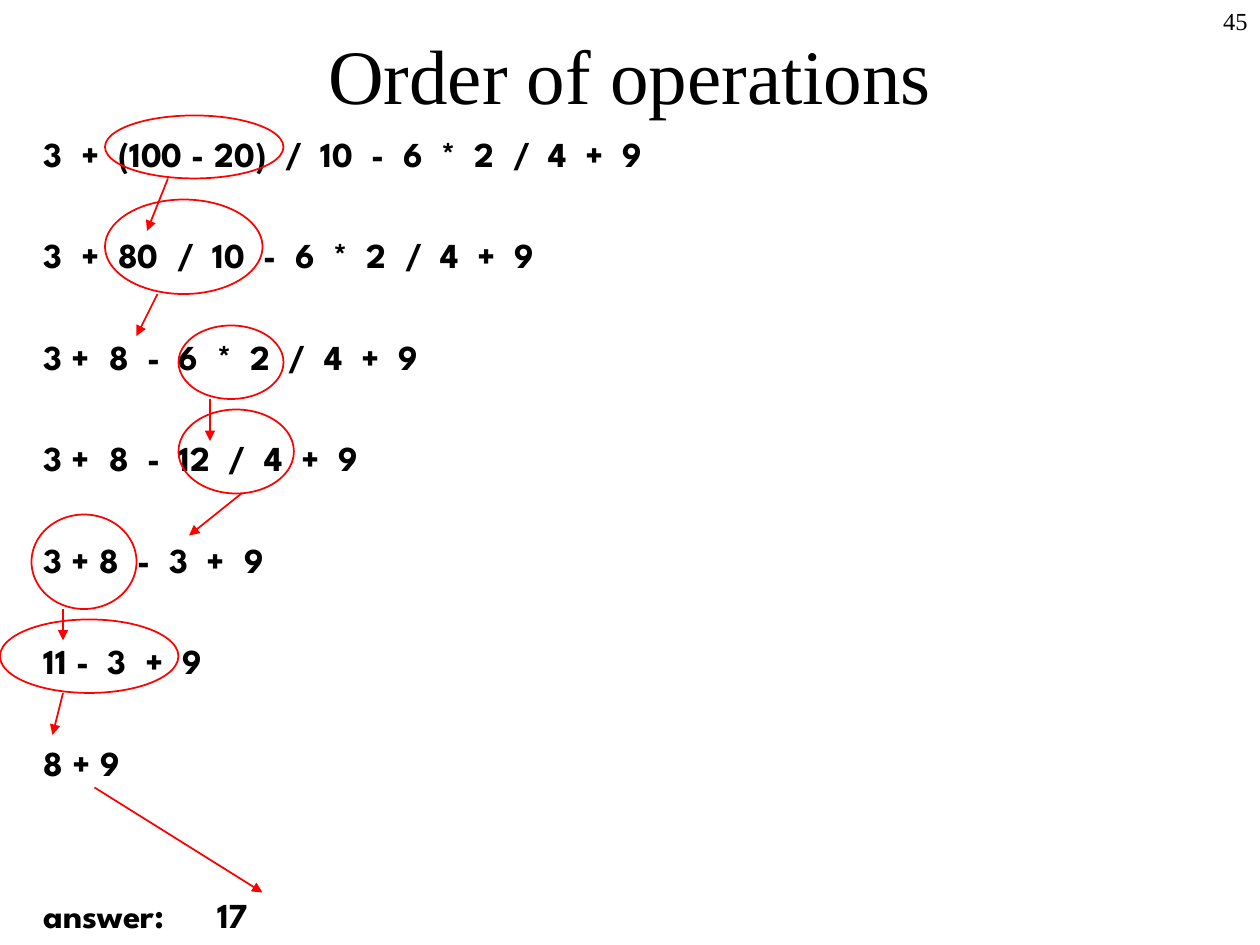
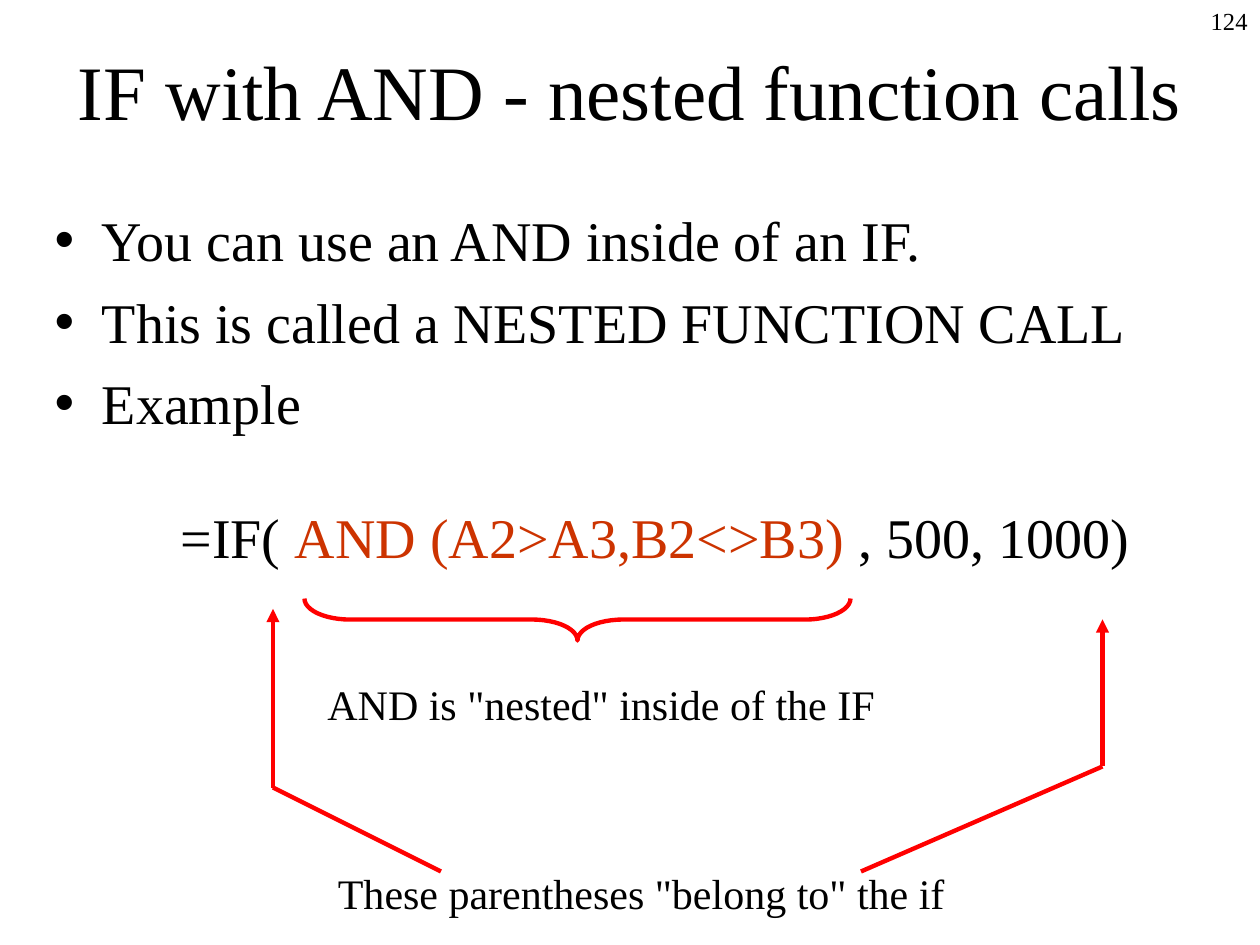
from collections import namedtuple

from lxml.etree import SubElement
from pptx import Presentation
from pptx.dml.color import RGBColor
from pptx.enum.shapes import MSO_CONNECTOR, MSO_SHAPE
from pptx.enum.text import MSO_ANCHOR, MSO_AUTO_SIZE, PP_ALIGN
from pptx.oxml.ns import qn
from pptx.util import Pt

BLACK = RGBColor(0x00, 0x00, 0x00)
RED = RGBColor(0xFF, 0x00, 0x00)
RUST = RGBColor(0xCC, 0x33, 0x00)
SERIF = "Times New Roman"
SPARTAN = "League Spartan"
HANGING = 27

Box = namedtuple("Box", "left top width height")

SLIDE = Box(0, 0, 720, 540)
NUMBER = Box(612, 0, 108, 30)

STEPS = [
    "3  +  (100 - 20)  /  10  -  6  *  2  /  4  +  9",
    "3  +  80  /  10  -  6  *  2  /  4  +  9",
    "3 +  8  -  6  *  2  /  4  +  9",
    "3 +  8  -  12  /  4  +  9",
    "3 + 8  -  3  +  9",
    "11 -  3  +  9",
    "8 + 9",
]
STEP_GAP = 34
ANSWER_GAP = 63
STEP_CIRCLES = [
    Box(42, -6, 102, 36),
    Box(42, 42, 90, 54),
    Box(84, 114, 60, 42),
    Box(84, 162, 66, 48),
    Box(0, 222, 60, 54),
    Box(-18, 282, 102, 42),
]
STEP_ARROWS = [
    ((78, 30), (66, 60)),
    ((72, 96), (60, 120)),
    ((102, 156), (102, 180)),
    ((120, 210), (90, 234)),
    ((18, 276), (18, 294)),
    ((18, 324), (12, 348)),
    ((36, 378), (132, 438)),
]


def points(values):
    return [Pt(value) for value in values]


def within(box, left, top, width, height):
    return Box(box.left + left, box.top + top, width, height)


def place(shape, box):
    shape.left, shape.top, shape.width, shape.height = points(box)


def write(paragraph, text, size=32, font=SERIF, color=BLACK, bold=False,
          align=None, before=0):
    paragraph.space_before = Pt(before)
    if align is not None:
        paragraph.alignment = align
    run = paragraph.add_run()
    run.text = text
    run.font.size = Pt(size)
    run.font.name = font
    run.font.bold = bold
    run.font.color.rgb = color


def indent(paragraph, left, first=0, bullet=None):
    properties = paragraph._p.get_or_add_pPr()
    properties.set("marL", str(Pt(left)))
    properties.set("indent", str(Pt(first)))
    if bullet:
        SubElement(properties, qn("a:buChar")).set("char", bullet)
    else:
        SubElement(properties, qn("a:buNone"))


def paragraphs(frame, count):
    return [frame.paragraphs[0]] + [frame.add_paragraph() for _ in range(count - 1)]


def add_text_frame(slide, box):
    frame = slide.shapes.add_textbox(*points(box)).text_frame
    frame.word_wrap = True
    return frame


def add_label(slide, box, text, **format):
    write(add_text_frame(slide, box).paragraphs[0], text, **format)


def add_outline(slide, kind, box, width):
    shape = slide.shapes.add_shape(kind, *points(box))
    shape.shadow.inherit = False
    shape.fill.background()
    shape.line.color.rgb = RED
    shape.line.width = Pt(width)
    return shape


def add_line(slide, box, start, end, width, arrow=False):
    ends = [box.left + start[0], box.top + start[1], box.left + end[0], box.top + end[1]]
    line = slide.shapes.add_connector(MSO_CONNECTOR.STRAIGHT, *points(ends))
    line.line.color.rgb = RED
    line.line.width = Pt(width)
    if arrow:
        SubElement(line.line._get_or_add_ln(), qn("a:tailEnd")).set("type", "triangle")
    SubElement(line._element.spPr, qn("a:effectLst"))


def add_slide(presentation, layout_name, title, title_box, number):
    layout = presentation.slide_layouts.get_by_name(layout_name)
    slide = presentation.slides.add_slide(layout)
    add_label(slide, NUMBER, number, size=14, align=PP_ALIGN.RIGHT)
    place(slide.shapes.title, title_box)
    frame = slide.shapes.title.text_frame
    frame.auto_size = MSO_AUTO_SIZE.NONE
    frame.vertical_anchor = MSO_ANCHOR.MIDDLE
    write(frame.paragraphs[0], title, size=44, align=PP_ALIGN.CENTER)
    return slide


def add_calculation(slide, box):
    lines = STEPS + ["answer:\t17"]
    gaps = [0] + [STEP_GAP] * (len(STEPS) - 1) + [ANSWER_GAP]
    frame = add_text_frame(slide, box)
    for paragraph, text, gap in zip(paragraphs(frame, len(lines)), lines, gaps):
        indent(paragraph, HANGING, -HANGING)
        write(paragraph, text, size=20, font=SPARTAN, bold=True, before=gap)
    for circle in STEP_CIRCLES:
        add_outline(slide, MSO_SHAPE.OVAL, within(box, *circle), 1)
    for start, end in STEP_ARROWS:
        add_line(slide, box, start, end, 1, arrow=True)


def add_nesting_list(slide, box):
    body = slide.placeholders[1]
    place(body, box)
    frame = body.text_frame
    frame.auto_size = MSO_AUTO_SIZE.NONE
    bullets = [
        "You can use an AND inside of an IF.",
        "This is called a NESTED FUNCTION CALL",
        "Example",
    ]
    *items, formula = paragraphs(frame, len(bullets) + 1)
    for index, (paragraph, text) in enumerate(zip(items, bullets)):
        indent(paragraph, HANGING, -HANGING, bullet="•")
        write(paragraph, text, before=8 if index else 0)
    indent(formula, 72)
    for text, color in [("=IF( ", BLACK), ("AND (A2>A3,B2<>B3) ", RUST), (", 500, 1000)", BLACK)]:
        write(formula, text, color=color, before=38.3)


def add_formula_notes(slide, box):
    span, depth = 312, 24
    brace_box = within(box, 18 + (span - depth) / 2, (depth - span) / 2, depth, span)
    brace = add_outline(slide, MSO_SHAPE.LEFT_BRACE, brace_box, 2.5)
    brace.rotation = 270
    brace.adjustments[0] = 1.08
    for tip, corner, foot in [((0, 6), (0, 108), (96, 156)),
                              ((474, 12), (474, 96), (336, 156))]:
        add_line(slide, box, corner, tip, 2.5, arrow=True)
        add_line(slide, box, corner, foot, 2.5)
    add_label(slide, within(box, 24, 42, 510, 36), 'AND is "nested" inside of the IF', size=24)
    add_label(slide, within(box, 30, 150, 390, 36), 'These parentheses "belong to" the if', size=24)


def main():
    presentation = Presentation()
    presentation.slide_width, presentation.slide_height = Pt(SLIDE.width), Pt(SLIDE.height)

    order = add_slide(presentation, "Title Only", "Order of operations",
                      Box(0, 6, 720, 72), "45")
    add_calculation(order, Box(18, 72, 690, 462))

    nesting = add_slide(presentation, "Title and Content",
                        "IF with AND - nested function calls", Box(0, 6, 720, 90), "124")
    add_nesting_list(nesting, Box(24, 114, 696, 426))
    add_formula_notes(nesting, Box(156, 342, 534, 192))

    presentation.save("out.pptx")


if __name__ == "__main__":
    main()
